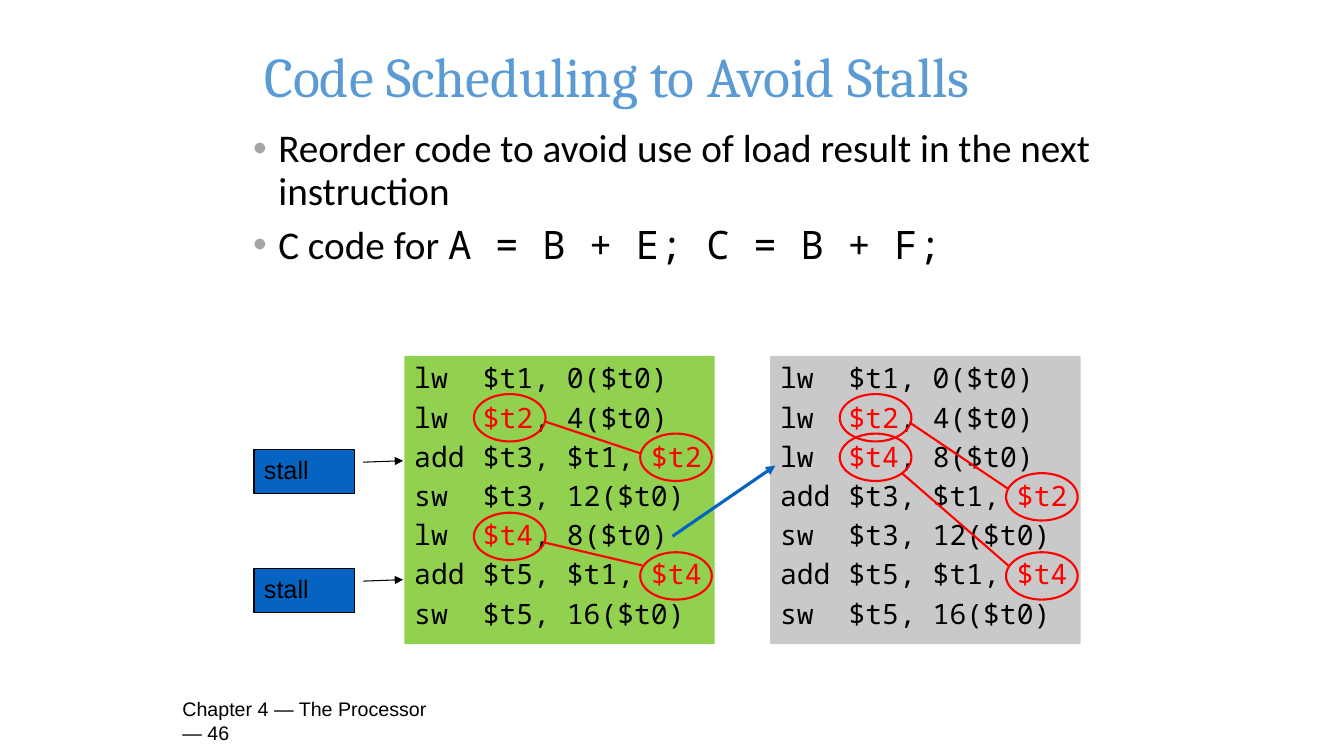
from dataclasses import dataclass

from lxml.etree import SubElement
from pptx import Presentation
from pptx.dml.color import RGBColor
from pptx.enum.shapes import MSO_CONNECTOR, MSO_SHAPE
from pptx.enum.text import MSO_ANCHOR, MSO_AUTO_SIZE, PP_ALIGN
from pptx.oxml.ns import qn
from pptx.util import Inches, Pt

SLIDE_WIDTH = Inches(13.33)
SLIDE_HEIGHT = Inches(7.5)
COLUMN = SLIDE_WIDTH / 100
ROW = SLIDE_HEIGHT / 100

BLACK = RGBColor(0x00, 0x00, 0x00)
RED = RGBColor(0xFF, 0x00, 0x00)
BLUE = RGBColor(0x05, 0x63, 0xC1)
TITLE_BLUE = RGBColor(0x5B, 0x9B, 0xD5)
GREEN = RGBColor(0x92, 0xD0, 0x50)
GRAY = RGBColor(0xC9, 0xC9, 0xC9)
BULLET_GRAY = "A5A5A5"

MONO = "Noto Sans Mono"
CODE_TOP = 47.07
CODE_TAB = Inches(0.68)
CIRCLE_TOP = 46.9
CODE_PITCH = 5.23
FIRST_OPERAND = 5.18
LAST_OPERAND = 17.55


@dataclass(frozen=True)
class Area:
    column: float
    row: float
    columns: float
    rows: float

    def lengths(self) -> tuple[int, int, int, int]:
        return (round(self.column * COLUMN), round(self.row * ROW),
                round(self.columns * COLUMN), round(self.rows * ROW))


@dataclass(frozen=True)
class Instruction:
    before: str
    hazard: str = ""
    after: str = ""


@dataclass(frozen=True)
class Listing:
    column: float
    fill: RGBColor
    code: tuple[Instruction, ...]


@dataclass(frozen=True)
class Link:
    start: tuple[float, float]
    end: tuple[float, float]
    color: RGBColor = RED
    width: float = 1.5
    arrow: bool = False


LOAD_B = Instruction("lw\t$t1, 0($t0)")
LOAD_E = Instruction("lw\t", "$t2", ", 4($t0)")
LOAD_F = Instruction("lw\t", "$t4", ", 8($t0)")
ADD_E = Instruction("add\t$t3, $t1, ", "$t2")
ADD_F = Instruction("add\t$t5, $t1, ", "$t4")
STORE_A = Instruction("sw\t$t3, 12($t0)")
STORE_C = Instruction("sw\t$t5, 16($t0)")

LISTINGS = (
    Listing(30.08, GREEN, (LOAD_B, LOAD_E, ADD_E, STORE_A, LOAD_F, ADD_F, STORE_C)),
    Listing(57.3, GRAY, (LOAD_B, LOAD_E, LOAD_F, ADD_E, STORE_A, ADD_F, STORE_C)),
)

LINKS = (
    Link((50.04, 70.93), (57.69, 61.6), BLUE, 2.25, True),
    Link((40.51, 55.73), (47.71, 60)),
    Link((40.44, 71.73), (47.79, 74.8)),
    Link((67.67, 55.87), (75.02, 64.67)),
    Link((67.07, 62.53), (75.02, 74.8)),
)

STALL_ROWS = (59.47, 75.2)

BULLETS = (
    (("Reorder code to avoid use of load result in the next instruction", "Calibri"),),
    (("C code for ", "Calibri"), ("A = B + E; C = B + F;", MONO)),
)


def place(shape, area: Area) -> None:
    shape.left, shape.top, shape.width, shape.height = area.lengths()


def add_span(para, text: str, font: str, size: float, color: RGBColor = BLACK) -> None:
    span = para.add_run()
    span.text = text
    span.font.name = font
    span.font.size = Pt(size)
    span.font.color.rgb = color


def prepare(frame, anchor: MSO_ANCHOR, wrap: bool = True) -> None:
    frame.auto_size = MSO_AUTO_SIZE.NONE
    frame.word_wrap = wrap
    frame.vertical_anchor = anchor


def next_paragraph(frame, index: int, share: int):
    para = frame.add_paragraph() if index else frame.paragraphs[0]
    para.alignment = PP_ALIGN.LEFT
    properties = para._p.get_or_add_pPr()
    spacing = SubElement(properties, qn("a:spcBef"))
    SubElement(spacing, qn("a:spcPct"), val=str(share * 1000 if index else 0))
    return para


def add_arrowhead(shape) -> None:
    outline = shape._element.spPr.find(qn("a:ln"))
    SubElement(outline, qn("a:tailEnd"), type="triangle")


def add_title(page) -> None:
    title = page.shapes.title
    place(title, Area(18.9, 0.27, 74.1, 19.33))
    prepare(title.text_frame, MSO_ANCHOR.MIDDLE)
    para = title.text_frame.paragraphs[0]
    para.alignment = PP_ALIGN.LEFT
    add_span(para, "Code Scheduling to Avoid Stalls", "Cambria", 40, TITLE_BLUE)


def add_bullets(page) -> None:
    body = page.placeholders[1]
    place(body, Area(18.08, 16.4, 67.88, 26.93))
    prepare(body.text_frame, MSO_ANCHOR.TOP)
    for index, spans in enumerate(BULLETS):
        para = next_paragraph(body.text_frame, index, 30)
        properties = para._p.get_or_add_pPr()
        properties.set("marL", str(Inches(0.25)))
        properties.set("indent", str(-Inches(0.25)))
        bullet_color = SubElement(properties, qn("a:buClr"))
        SubElement(bullet_color, qn("a:srgbClr"), val=BULLET_GRAY)
        SubElement(properties, qn("a:buFont"), typeface="Arial")
        SubElement(properties, qn("a:buChar"), char="•")
        para.line_spacing = 0.9
        for text, font in spans:
            add_span(para, text, font, 28)


def add_footer(page) -> None:
    box = page.shapes.add_textbox(*Area(12.83, 92.67, 20.93, 5.33).lengths())
    prepare(box.text_frame, MSO_ANCHOR.MIDDLE)
    add_span(box.text_frame.paragraphs[0], "Chapter 4 — The Processor — 46", "Arial", 14)


def add_listing(page, listing: Listing) -> None:
    area = Area(listing.column, CODE_TOP, 23.1, 38.13)
    box = page.shapes.add_shape(MSO_SHAPE.RECTANGLE, *area.lengths())
    box.shadow.inherit = False
    box.fill.solid()
    box.fill.fore_color.rgb = listing.fill
    box.line.fill.background()
    prepare(box.text_frame, MSO_ANCHOR.TOP, wrap=False)
    for index, instruction in enumerate(listing.code):
        para = next_paragraph(box.text_frame, index, 20)
        tabs = SubElement(para._p.get_or_add_pPr(), qn("a:tabLst"))
        SubElement(tabs, qn("a:tab"), pos=str(CODE_TAB), algn="l")
        add_span(para, instruction.before, MONO, 20)
        if instruction.hazard:
            add_span(para, instruction.hazard, MONO, 20, RED)
        if instruction.after:
            add_span(para, instruction.after, MONO, 20)


def add_stall(page, row: float) -> None:
    area = Area(18.9, row, 7.5, 5.87)
    callout = page.shapes.add_shape(MSO_SHAPE.LINE_CALLOUT_1, *area.lengths())
    for index, share in enumerate((0.285, 1.083, 0.253, 1.479)):
        callout.adjustments[index] = share
    callout.shadow.inherit = False
    callout.fill.solid()
    callout.fill.fore_color.rgb = BLUE
    callout.line.color.rgb = BLACK
    callout.line.width = Pt(0.75)
    add_arrowhead(callout)
    prepare(callout.text_frame, MSO_ANCHOR.TOP)
    para = callout.text_frame.paragraphs[0]
    para.alignment = PP_ALIGN.LEFT
    add_span(para, "stall", "Arial", 18)


def circle_hazards(page, listing: Listing) -> None:
    for index, instruction in enumerate(listing.code):
        if not instruction.hazard:
            continue
        offset = FIRST_OPERAND if instruction.after else LAST_OPERAND
        area = Area(listing.column + offset, CIRCLE_TOP + index * CODE_PITCH, 5.33, 6.27)
        circle = page.shapes.add_shape(MSO_SHAPE.OVAL, *area.lengths())
        circle.shadow.inherit = False
        circle.fill.background()
        circle.line.color.rgb = RED
        circle.line.width = Pt(1.5)


def add_link(page, link: Link) -> None:
    ends = Area(*link.start, *link.end).lengths()
    connector = page.shapes.add_connector(MSO_CONNECTOR.STRAIGHT, *ends)
    connector.line.color.rgb = link.color
    connector.line.width = Pt(link.width)
    if link.arrow:
        add_arrowhead(connector)
    SubElement(connector._element.spPr, qn("a:effectLst"))


def main() -> None:
    deck = Presentation()
    deck.slide_width = SLIDE_WIDTH
    deck.slide_height = SLIDE_HEIGHT
    page = deck.slides.add_slide(deck.slide_layouts[1])
    add_title(page)
    add_bullets(page)
    add_footer(page)
    for listing in LISTINGS:
        add_listing(page, listing)
    for row in STALL_ROWS:
        add_stall(page, row)
    for listing in LISTINGS:
        circle_hazards(page, listing)
    for link in LINKS:
        add_link(page, link)
    deck.save("out.pptx")


if __name__ == "__main__":
    main()
